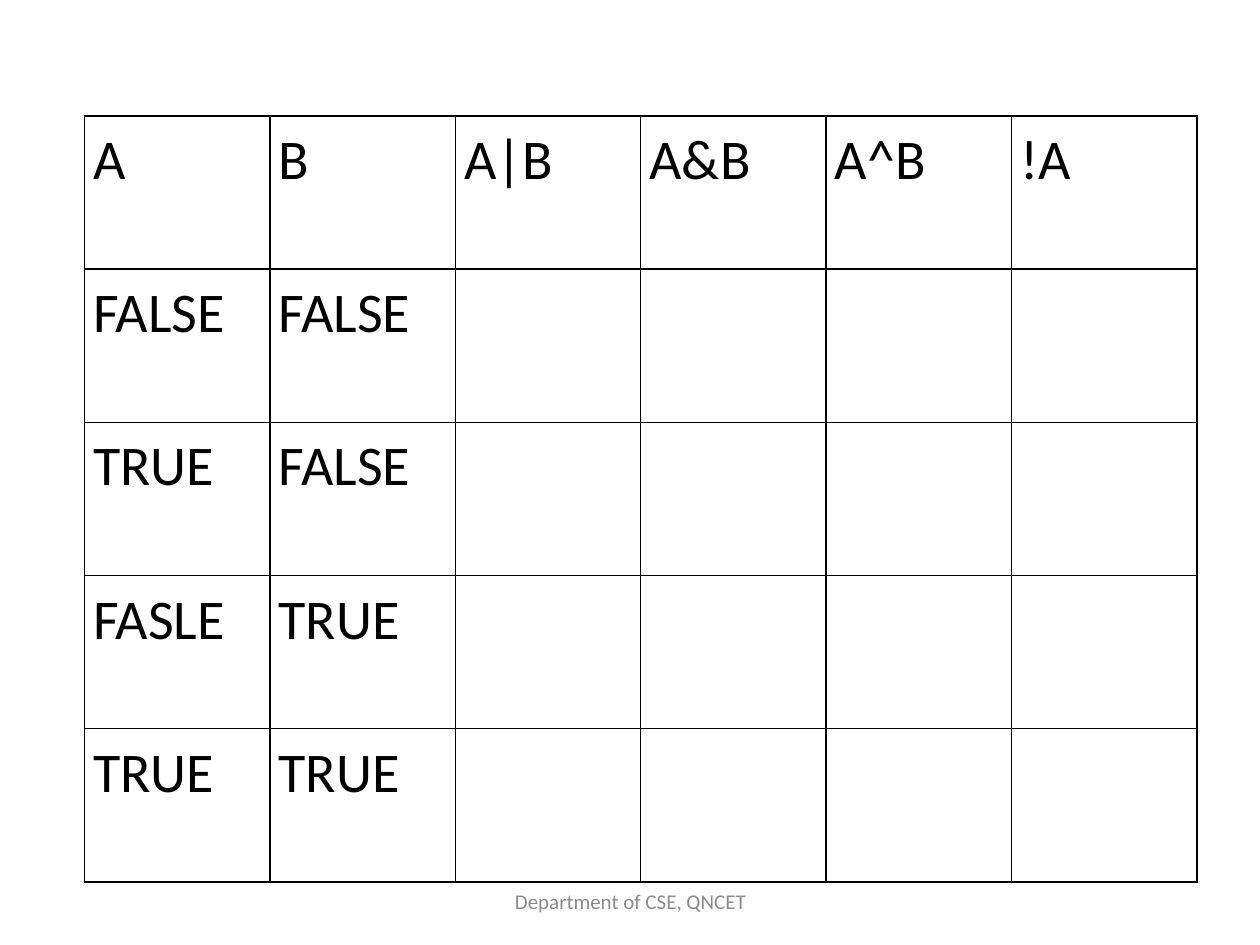
from dataclasses import dataclass

from lxml.etree import SubElement
from pptx import Presentation
from pptx.dml.color import RGBColor
from pptx.enum.text import MSO_ANCHOR, PP_ALIGN
from pptx.oxml.ns import qn
from pptx.util import Inches, Pt

BLACK = RGBColor(0x00, 0x00, 0x00)
GREY = RGBColor(0x8C, 0x8C, 0x8C)
FONT = "Calibri"
BORDER = Pt(1)
SIDE_INSET = Inches(0.07)

# Truth table: the result columns are left open below the heading
HEADINGS = ["A", "B", "A|B", "A&B", "A^B", "!A"]
INPUTS = [
    ("FALSE", "FALSE"),
    ("TRUE", "FALSE"),
    ("FASLE", "TRUE"),
    ("TRUE", "TRUE"),
]


@dataclass(frozen=True)
class Area:
    left: float
    top: float
    width: float
    height: float

    def lengths(self) -> tuple:
        return tuple(Inches(n) for n in (self.left, self.top, self.width, self.height))


TABLE_AREA = Area(0.67, 0.92, 8.83, 6.08)
FOOTER_AREA = Area(3.42, 6.95, 3.17, 0.4)


def style_para(para, size: int, color: RGBColor) -> None:
    for span in para.runs:
        span.font.name = FONT
        span.font.size = Pt(size)
        span.font.color.rgb = color


def add_borders(cell) -> None:
    properties = cell._tc.get_or_add_tcPr()
    for position, side in enumerate(("a:lnL", "a:lnR", "a:lnT", "a:lnB")):
        line = SubElement(properties, qn(side), w=str(BORDER))
        fill = SubElement(line, qn("a:solidFill"))
        SubElement(fill, qn("a:srgbClr"), val=str(BLACK))
        properties.insert(position, line)  # borders come before the fill


def fill_cell(cell, words: str) -> None:
    cell.fill.background()
    cell.margin_left = cell.margin_right = SIDE_INSET
    cell.margin_top = cell.margin_bottom = 0
    add_borders(cell)
    if words:
        cell.text_frame.text = words
        para = cell.text_frame.paragraphs[0]
        para.line_spacing = 1.15
        style_para(para, 32, BLACK)


def add_truth_table(page, area: Area) -> None:
    rows = [HEADINGS, *INPUTS]
    table = page.shapes.add_table(len(rows), len(HEADINGS), *area.lengths()).table
    table.first_row = table.horz_banding = False
    for row_index, words in enumerate(rows):
        for column_index in range(len(HEADINGS)):
            entry = words[column_index] if column_index < len(words) else ""
            fill_cell(table.cell(row_index, column_index), entry)


def add_footer(page, area: Area, words: str) -> None:
    frame = page.shapes.add_textbox(*area.lengths()).text_frame
    frame.word_wrap = True
    frame.vertical_anchor = MSO_ANCHOR.MIDDLE
    frame.text = words
    para = frame.paragraphs[0]
    para.alignment = PP_ALIGN.CENTER
    style_para(para, 12, GREY)


def main() -> None:
    deck = Presentation()
    deck.slide_width, deck.slide_height = Inches(10), Inches(7.5)
    page = deck.slides.add_slide(deck.slide_layouts[6])
    add_truth_table(page, TABLE_AREA)
    add_footer(page, FOOTER_AREA, "Department of CSE, QNCET")
    deck.save("out.pptx")


if __name__ == "__main__":
    main()
